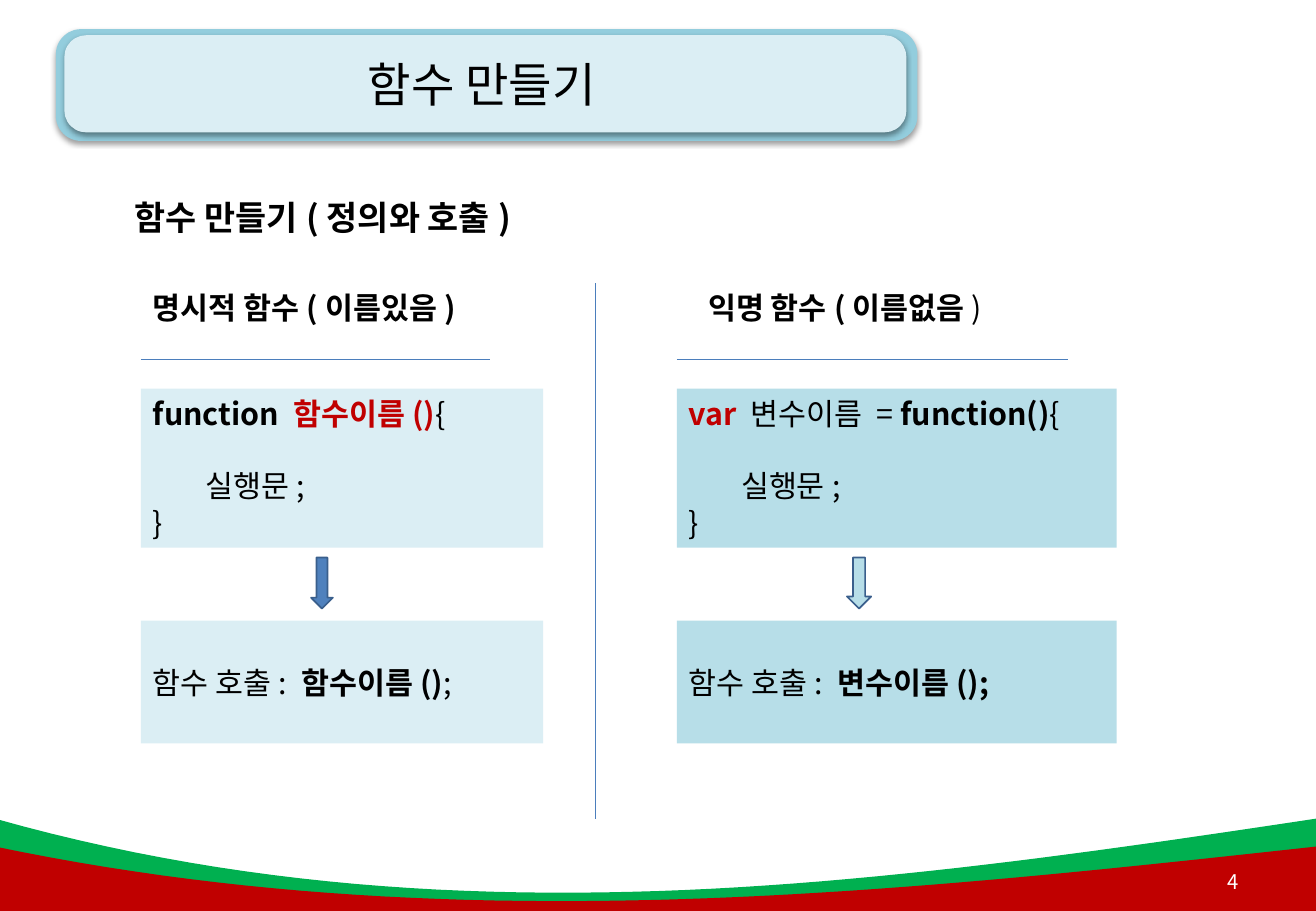
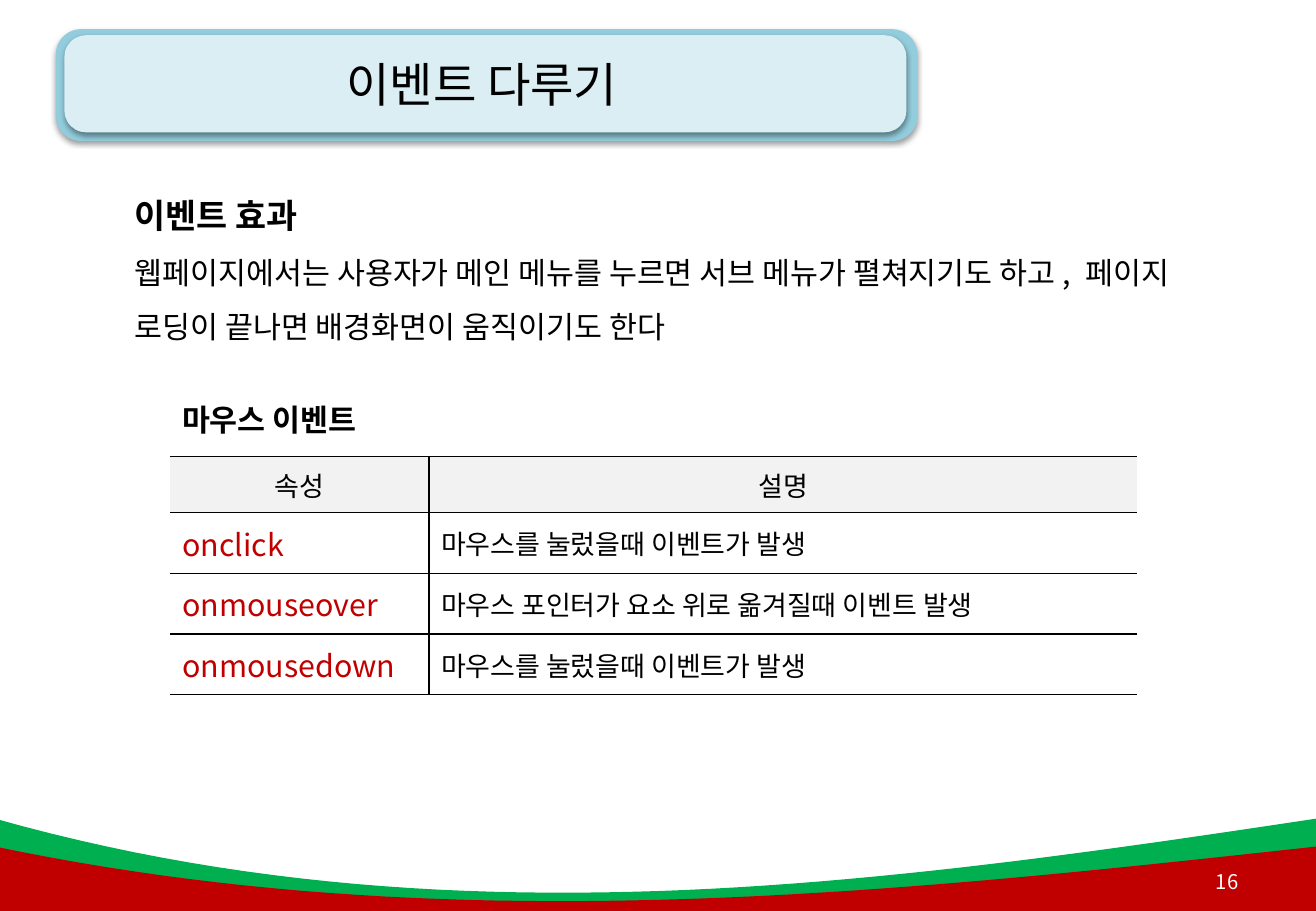
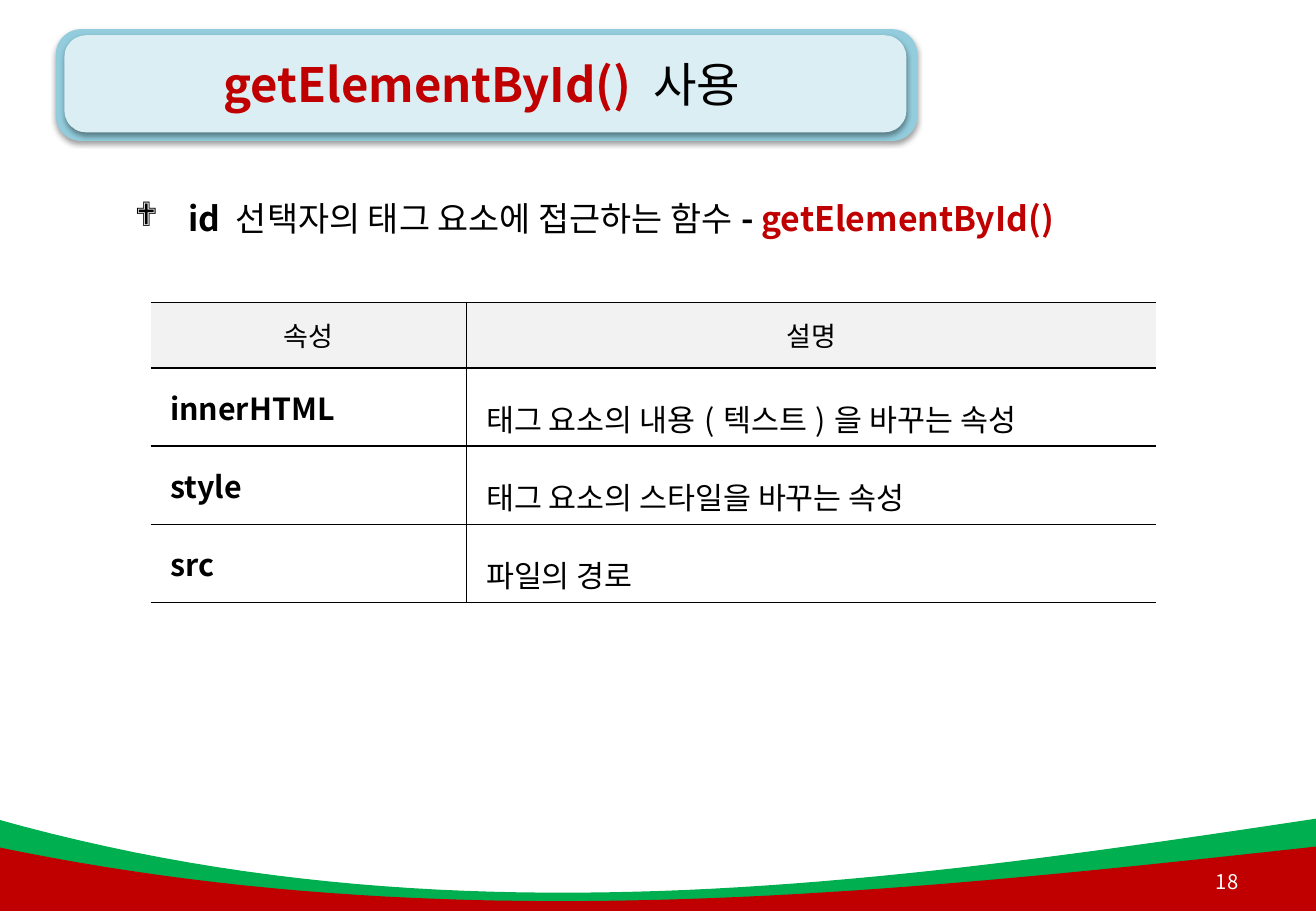
from lxml import etree
from pptx import Presentation
from pptx.dml.color import RGBColor
from pptx.enum.shapes import MSO_CONNECTOR, MSO_SHAPE
from pptx.enum.text import MSO_ANCHOR, MSO_AUTO_SIZE, PP_ALIGN
from pptx.oxml.ns import qn
from pptx.util import Inches, Pt

LEFT, MID, RIGHT = PP_ALIGN.LEFT, PP_ALIGN.CENTER, PP_ALIGN.RIGHT
TOP, CENTER = MSO_ANCHOR.TOP, MSO_ANCHOR.MIDDLE
ROUND, RECT, ARROW = MSO_SHAPE.ROUNDED_RECTANGLE, MSO_SHAPE.RECTANGLE, MSO_SHAPE.DOWN_ARROW
FONT = "Noto Sans CJK KR"
BLACK = RGBColor(0, 0, 0)
WHITE = RGBColor(255, 255, 255)
RED = RGBColor(0xC0, 0, 0)
GREEN = RGBColor(0, 0xB0, 0x50)
TEAL = RGBColor(0x93, 0xCD, 0xDD)
PALE = RGBColor(0xDB, 0xEE, 0xF4)
SKY = RGBColor(0xB7, 0xDE, 0xE8)
BLUE = RGBColor(0x4F, 0x81, 0xBD)
NAVY = RGBColor(0x3A, 0x5F, 0x8C)
RULE = RGBColor(0x4B, 0x7E, 0xBC)
GREY = RGBColor(0xF2, 0xF2, 0xF2)
PLAIN = "{2D5ABB26-0587-4C30-8999-92F81FD0307C}"
HOT = {"color": RED, "bold": True}
BOLD = {"bold": True}


def write(frame, *lines, size=18, bold=False, color=BLACK, align=LEFT,
          anchor=TOP, space=1):
    """Each line is a string or a list of runs; a run is a string or (string, format)."""
    frame.word_wrap = True
    frame.auto_size = MSO_AUTO_SIZE.NONE
    frame.vertical_anchor = anchor
    for n, line in enumerate(lines):
        para = frame.add_paragraph() if n else frame.paragraphs[0]
        para.alignment, para.line_spacing = align, space
        for part in [line] if isinstance(line, str) else line:
            word, own = (part, {}) if isinstance(part, str) else part
            look = {"size": size, "bold": bold, "color": color, **own}
            run = para.add_run()
            run.text = word
            run.font.name, run.font.size = FONT, Pt(look["size"])
            run.font.bold, run.font.color.rgb = look["bold"], look["color"]
            etree.SubElement(run.font._element, qn("a:ea"), typeface=FONT)
    return frame.paragraphs


def draw(slide, kind, x, y, wide, high, fill, line=None):
    shape = slide.shapes.add_shape(kind, Inches(x), Inches(y), Inches(wide), Inches(high))
    shape.shadow.inherit = False
    shape.fill.solid()
    shape.fill.fore_color.rgb = fill
    if line is None:
        shape.line.fill.background()
    else:
        shape.line.color.rgb, shape.line.width = line, Pt(1)
    return shape


deck = Presentation()
deck.slide_width, deck.slide_height = Inches(10.83), Inches(7.5)
layout = deck.slide_layouts[5]

# Slides with their titles and page numbers
heads = [(["함수 만들기"], "4"), (["이벤트 다루기"], "16"),
         ([("getElementById()", HOT), " 사용"], "18")]
slides = []
for head, page in heads:
    slide = deck.slides.add_slide(layout)
    title = slide.shapes.title
    title.left, title.top = Inches(0.46), Inches(0.22)
    title.width, title.height = Inches(7.01), Inches(0.94)
    write(title.text_frame, head, size=28, align=MID, anchor=CENTER)
    box = slide.shapes.add_textbox(Inches(9.68), Inches(7.06), Inches(0.61), Inches(0.4))
    write(box.text_frame, page, size=12, color=WHITE, align=RIGHT, anchor=CENTER)
    slides.append(slide)
first, second, third = slides

# Shared art: two curved bands and a double title plate, kept on the layout
art = []
STEPS = 48
for ys, base, fill in [((6.74, 7.78, 7.29, 6.74), 7.5, GREEN),
                       ((6.97, 7.74, 7.37, 6.97), 7.53, RED)]:
    curve = []
    for n in range(STEPS + 1):
        t = n / STEPS
        mix = ((1 - t) ** 3, 3 * t * (1 - t) ** 2, 3 * t * t * (1 - t), t ** 3)
        curve.append(tuple(Inches(sum(m * v for m, v in zip(mix, axis)))
                           for axis in ((-0.04, 3.64, 7.19, 10.83), ys)))
    pen = first.shapes.build_freeform(*curve[0])
    pen.add_line_segments(curve[1:] + [(Inches(10.83), Inches(base)),
                                       (Inches(-0.04), Inches(base))], close=True)
    band = pen.convert_to_shape()
    band.shadow.inherit = False
    band.fill.solid()
    band.fill.fore_color.rgb = fill
    band.line.fill.background()
    art.append(band)
for area, fill in [((0.46, 0.24, 7.09, 0.92), TEAL), ((0.53, 0.29, 6.93, 0.8), PALE)]:
    plate = draw(first, ROUND, *area, fill)
    plate.adjustments[0] = 0.225
    glow = etree.SubElement(plate.element.spPr.find(qn("a:effectLst")), qn("a:outerShdw"),
                            blurRad="40000", dist="20000", dir="5400000", rotWithShape="0")
    tone = etree.SubElement(glow, qn("a:srgbClr"), val="000000")
    etree.SubElement(tone, qn("a:alpha"), val="38000")
    art.append(plate)
for n, shape in enumerate(art):
    shape.element.nvSpPr.cNvPr.set("id", str(20 + n))
    layout.shapes.element.append(shape.element)

# Text boxes under the titles
notes = [
    (first, (1.01, 1.4, 8.19, 0.61), ["함수 만들기(정의와 호출)"],
     {"size": 20, "bold": True, "space": 1.5}),
    (first, (1.16, 2.33, 2.83, 0.4), ["명시적 함수(이름있음)"], BOLD),
    (first, (5.73, 2.33, 2.83, 0.4), [[("익명 함수(이름없음", BOLD), ")"]], {}),
    (second, (1.01, 1.39, 8.98, 1.51),
     [[("이벤트 효과", {"size": 20, "bold": True})],
      "웹페이지에서는 사용자가 메인 메뉴를 누르면 서브 메뉴가 펼쳐지기도 하고, "
      "페이지 로딩이 끝나면 배경화면이 움직이기도 한다"], {"space": 1.5}),
    (second, (1.4, 3.1, 2.2, 0.5), ["마우스 이벤트"], {"bold": True, "space": 1.5}),
    (third, (1.01, 1.58, 8.58, 0.44),
     [[("id ", BOLD), "선택자의 태그 요소에 접근하는 함수", ("- ", BOLD),
       ("getElementById()", HOT)]], {"size": 20}),
]
for slide, area, lines, look in notes:
    box = slide.shapes.add_textbox(*map(Inches, area))
    paras = write(box.text_frame, *lines, **look)

# Diamond bullet on the last of them
props = paras[0]._p.get_or_add_pPr()
props.set("marL", str(Inches(0.44)))
props.set("indent", str(-Inches(0.44)))
etree.SubElement(props, qn("a:buFont"), typeface="Wingdings")
etree.SubElement(props, qn("a:buChar"), char="❖")

# Rules between and above the two columns
for x1, y1, x2, y2 in [(1.16, 2.96, 4.03, 2.96), (5.57, 2.96, 8.79, 2.96),
                       (4.9, 2.33, 4.9, 6.74)]:
    rule = first.shapes.add_connector(MSO_CONNECTOR.STRAIGHT, Inches(x1), Inches(y1),
                                      Inches(x2), Inches(y2))
    rule.line.color.rgb, rule.line.width = RULE, Pt(0.75)
    etree.SubElement(rule.element.spPr, qn("a:effectLst"))

# Code, arrow and call in each column
sides = [
    (1.16, 3.31, PALE, 0.18, BLUE,
     [("function ", BOLD), ("함수이름()", HOT), "{"],
     ["함수 호출: ", ("함수이름()", BOLD), ";"]),
    (5.57, 3.62, SKY, 0.2, SKY,
     [("var ", HOT), "변수이름 = ", ("function()", BOLD), "{"],
     ["함수 호출: ", ("변수이름();", BOLD)]),
]
for x, wide, fill, stem, tint, code, call in sides:
    block = draw(first, RECT, x, 3.2, wide, 1.31, fill)
    body = write(block.text_frame, code, "실행문;", "}")[1]
    body.space_before = Pt(21.5)
    body._p.get_or_add_pPr().set("marL", str(Inches(0.43)))
    block = draw(first, RECT, x, 5.11, wide, 1.01, fill)
    write(block.text_frame, call, anchor=CENTER)
    draw(first, ARROW, x + 1.4, 4.59, stem, 0.42, tint, NAVY)

# Tables of properties
tables = [
    (second, (1.4, 3.76), (2.13, 5.83), (0.46, 0.5), 0.1,
     {"color": RED}, {"size": 16},
     [("onclick", "마우스를 눌렀을때 이벤트가 발생"),
      ("onmouseover", "마우스 포인터가 요소 위로 옮겨질때 이벤트 발생"),
      ("onmousedown", "마우스를 눌렀을때 이벤트가 발생")]),
    (third, (1.24, 2.49), (2.6, 5.67), (0.54, 0.595), 0.16,
     BOLD, {"space": 1.5},
     [("innerHTML", "태그 요소의 내용(텍스트)을 바꾸는 속성"),
      ("style", "태그 요소의 스타일을 바꾸는 속성"),
      ("src", "파일의 경로")]),
]
for slide, (x, y), cols, (top, step), inset, key, info, data in tables:
    rows = [("속성", "설명")] + data
    frame = slide.shapes.add_table(len(rows), 2, Inches(x), Inches(y), Inches(sum(cols)),
                                   Inches(top + step * len(data)))
    grid = frame.table
    grid.first_row = grid.horz_banding = False
    grid._tbl.tblPr.find(qn("a:tableStyleId")).text = PLAIN
    for c, wide in enumerate(cols):
        grid.columns[c].width = Inches(wide)
    for r, row in enumerate(rows):
        grid.rows[r].height = Inches(step if r else top)
        for c, word in enumerate(row):
            cell = grid.cell(r, c)
            look = (key, info)[c] if r else {"size": 16, "align": MID}
            write(cell.text_frame, word, **look)
            cell.vertical_anchor = CENTER
            if r:
                cell.margin_left = Inches(inset)
            for edge in ("lnL" if c else "lnR", "lnT", "lnB"):
                line = etree.SubElement(cell._tc.get_or_add_tcPr(), qn("a:" + edge),
                                        w=str(Pt(1)))
                ink = etree.SubElement(line, qn("a:solidFill"))
                etree.SubElement(ink, qn("a:srgbClr"), val=str(BLACK))
            if r:
                cell.fill.background()
            else:
                cell.fill.solid()
                cell.fill.fore_color.rgb = GREY

deck.save("out.pptx")
